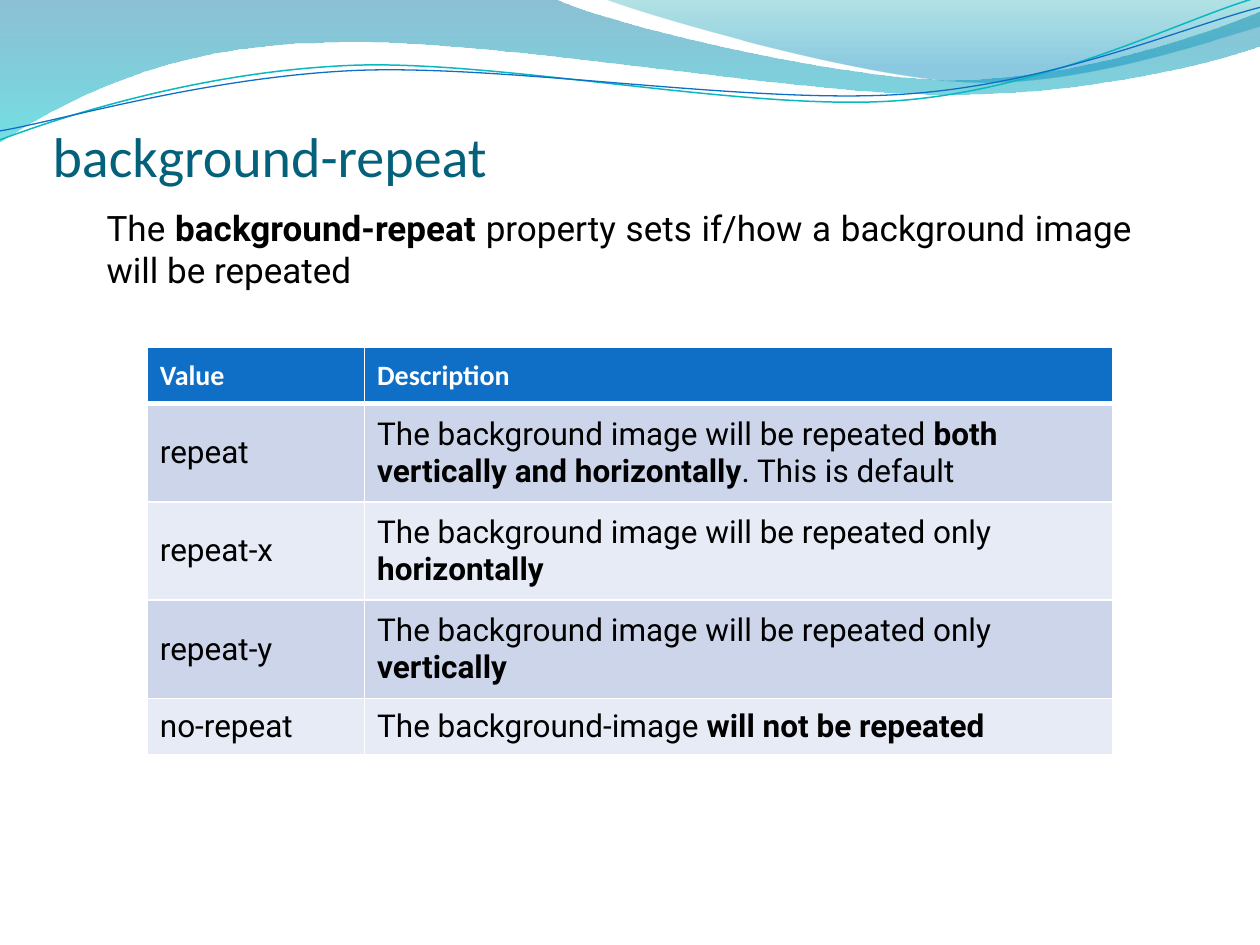
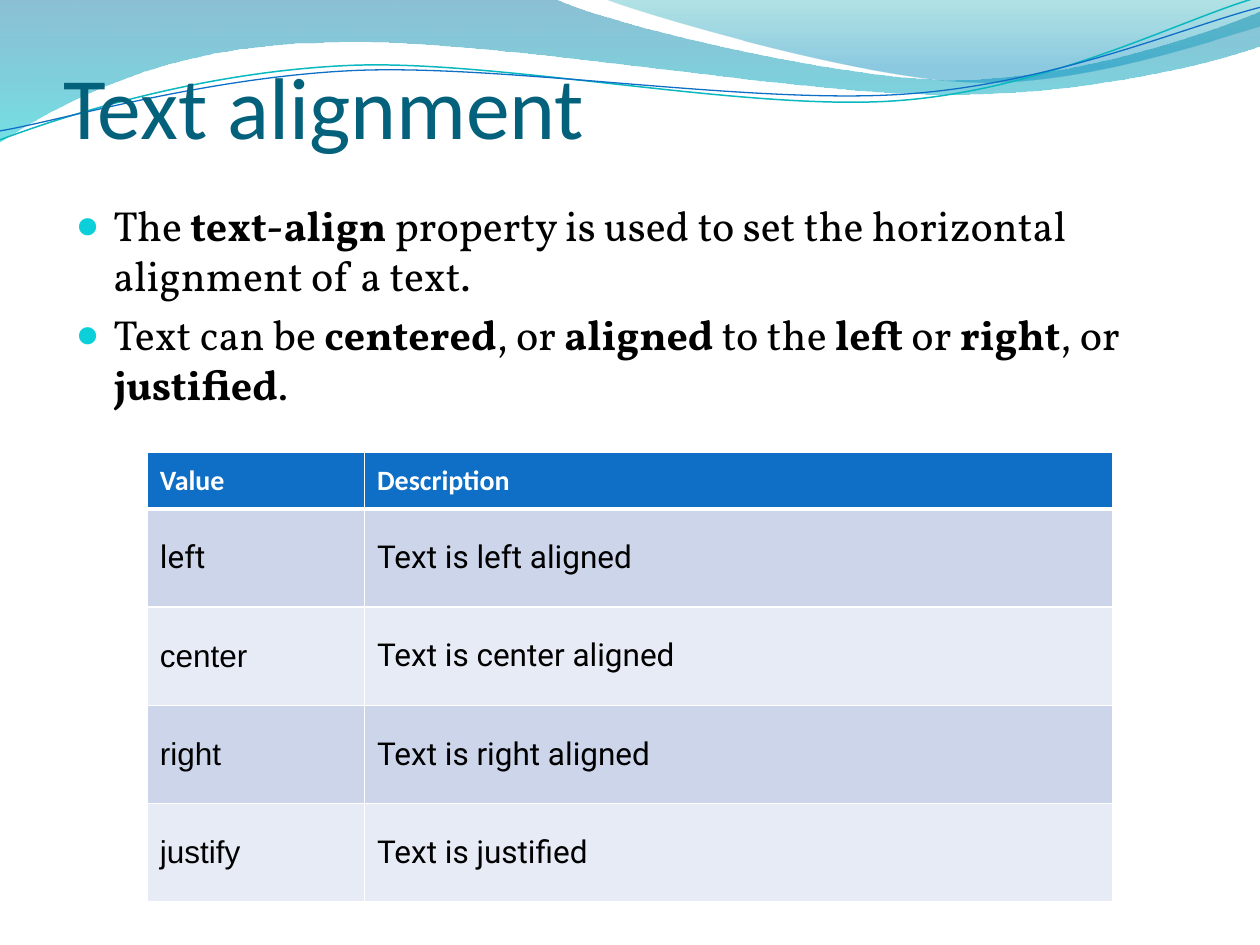
from lxml.etree import SubElement
from pptx import Presentation
from pptx.dml.color import RGBColor
from pptx.enum.text import MSO_ANCHOR, MSO_AUTO_SIZE, PP_ALIGN
from pptx.oxml.ns import qn
from pptx.util import Cm, Pt

COLORS = {
    "title": "04617B", "text": "000000", "white": "FFFFFF", "bullet": "0BD0D9",
    "header": "0F6FC6", "odd": "CCD5EA", "even": "E7EBF5",
    "teal line": "0AB8BF", "blue line": "0F6FC6",
}
TITLE = {"size": Pt(32), "name": "Calibri", "bold": False}
BIG_TITLE = {**TITLE, "size": Pt(50)}
INTRO = {"size": Pt(20), "name": "Roboto"}
BULLET = {"size": Pt(24), "name": "Vollkorn"}
HEADER = {"size": Pt(16), "name": "Calibri"}
CELL = {"size": Pt(18), "name": "Roboto"}
ARIAL_CELL = {**CELL, "name": "Arial"}

BANDS = [
    ([(0, -0.03), (11.18, -0.03),
      (12.09, 0.43, 16.87, 1.6, 19.25, 1.6), (21.67, 1.6, 24.33, 0.66, 25.4, 0.23),
      (25.43, 0.91), (24.97, 1.12, 22.1, 1.93, 18.95, 1.9),
      (15.8, 1.9, 9.7, 0.71, 6.53, 0.86), (3.28, 0.89, 1.17, 2.11, -0.03, 2.87)],
     [(0, "0074A1", 45), (1, "00C6CF", 55)]),
    ([(12.17, -0.03), (12.93, 0.28, 17.32, 1.57, 19.53, 1.65),
      (21.74, 1.75, 24.41, 0.81, 25.4, 0.53), (25.4, 0)],
     [(0, "00A1A9", 30), (0.8, "008BBF", 45)]),
]
LINES = [
    ([(0, 2.82), (1.22, 2.36, 4.01, 1.45, 7.04, 1.32),
      (10.03, 1.19, 15.06, 2.26, 18.11, 2.03), (21.16, 1.8, 23.83, 0.38, 25.35, -0.05)],
     "teal line", 0.85),
    ([(0, 2.64), (1.19, 2.44, 4.17, 1.55, 7.19, 1.42),
      (10.24, 1.3, 15.14, 2.11, 18.21, 1.9), (21.23, 1.7, 23.9, 0.53, 25.4, 0.15)],
     "blue line", 0.75),
]

SLIDES = [
    {"layout": 5, "title": "background-repeat", "title format": TITLE,
     "title place": (1.06, 2.74, 21.16, 1.07), "anchor": MSO_ANCHOR.BOTTOM,
     "text": ["The** background-repeat** property sets if/how a background image "
              "will be repeated"],
     "table top": 7, "heights": [1.14, 1.98, 1.98, 1.98, 1.14],
     "value formats": [HEADER] + [CELL] * 4,
     "rows": [
         ("**Value**", "**Description**"),
         ("repeat", "The background image will be repeated **both vertically and "
                    "horizontally**. This is default"),
         ("repeat-x", "The background image will be repeated only **horizontally**"),
         ("repeat-y", "The background image will be repeated only **vertically**"),
         ("no-repeat", "The background-image **will not be repeated**")]},
    {"layout": 1, "title": "Text alignment", "title format": BIG_TITLE,
     "title place": (1.27, 0.89, 22.86, 2.29), "anchor": MSO_ANCHOR.MIDDLE,
     "text": ["The** text-align **property is used to set the horizontal alignment "
              "of a text.",
              "Text can be **centered**, or **aligned **to the **left** or **right**, "
              "or **justified**."],
     "table top": 9.12, "heights": [1.14] + [1.98] * 4,
     "value formats": [HEADER, CELL] + [ARIAL_CELL] * 3,
     "rows": [("**Value**", "**Description**")] + [
         (value, f"Text is {result}") for value, result in [
             ("left", "left aligned"), ("center", "center aligned"),
             ("right", "right aligned"), ("justify", "justified")]]},
]


def write(para, text, color, look):
    for number, part in enumerate(text.split("**")):
        if part:
            span = para.add_run()
            span.text = part
            for name, value in {"bold": number % 2 == 1, **look}.items():
                setattr(span.font, name, value)
            span.font.color.rgb = RGBColor.from_string(COLORS[color])


def draw_curve(page, steps, closed):
    ends = [(Cm(step[-2]), Cm(step[-1])) for step in steps]
    builder = page.shapes.build_freeform(*ends[0])
    builder.add_line_segments(ends[1:], close=closed)
    curve = builder.convert_to_shape()
    curve.shadow.inherit = False
    for segment, step in zip(list(curve.element.iter(qn("a:lnTo"))), steps[1:]):
        if len(step) == 6:
            segment.tag = qn("a:cubicBezTo")
            segment.remove(segment[0])
            for x, y in zip(step[::2], step[1::2]):
                SubElement(segment, qn("a:pt"), x=str(Cm(x) - curve.left),
                           y=str(Cm(y) - curve.top))
    return curve


deck = Presentation()
deck.slide_width, deck.slide_height = Cm(25.4), Cm(19.05)
pages = [deck.slides.add_slide(deck.slide_layouts[content["layout"]]) for content in SLIDES]

waves = []
for steps, stops in BANDS:
    band = draw_curve(pages[0], steps, True)
    band.line.fill.background()
    band.fill.gradient()
    band.fill.gradient_angle = 270
    for stop, (position, color, opacity) in zip(band.fill.gradient_stops, stops):
        stop.position = position
        stop.color.rgb = RGBColor.from_string(color)
    for tint, (position, color, opacity) in zip(band.element.iter(qn("a:srgbClr")), stops):
        SubElement(tint, qn("a:alpha"), val=str(opacity * 1000))
    waves.append(band)
for steps, color, width in LINES:
    line = draw_curve(pages[0], steps, False)
    line.fill.background()
    line.line.color.rgb = RGBColor.from_string(COLORS[color])
    line.line.width = Pt(width)
    waves.append(line)
for wave in waves:
    deck.slide_master.shapes.element.append(wave.element)

for page, content in zip(pages, SLIDES):
    title = page.shapes.title
    title.left, title.top, title.width, title.height = map(Cm, content["title place"])
    frame = title.text_frame
    for name, value in {"margin_left": 0, "margin_right": 0, "margin_top": Cm(0.13),
                        "margin_bottom": 0, "vertical_anchor": content["anchor"],
                        "auto_size": MSO_AUTO_SIZE.NONE, "word_wrap": True}.items():
        setattr(frame, name, value)
    frame.paragraphs[0].alignment = PP_ALIGN.LEFT
    write(frame.paragraphs[0], content["title"], "title", content["title format"])

    if content["layout"] == 1:
        body = page.placeholders[1]
        body.left, body.top, body.width, body.height = map(Cm, (1.27, 3.89, 22.86, 12.19))
        body.text_frame.auto_size = MSO_AUTO_SIZE.NONE
        for number, text in enumerate(content["text"]):
            para = body.text_frame.add_paragraph() if number else body.text_frame.paragraphs[0]
            write(para, text, "text", BULLET)
            props = para._p.get_or_add_pPr()
            props.set("marL", str(Cm(0.76)))
            props.set("indent", str(-Cm(0.76)))
            SubElement(SubElement(props, qn("a:buClr")), qn("a:srgbClr"), val=COLORS["bullet"])
            SubElement(props, qn("a:buSzPct"), val="95000")
            SubElement(props, qn("a:buFont"), typeface="Arial")
            SubElement(props, qn("a:buChar"), char="●")
    else:
        box = page.shapes.add_textbox(Cm(1.9), Cm(4.03), Cm(21.17), Cm(1.96))
        box.text_frame.word_wrap = True
        box.text_frame.vertical_anchor = MSO_ANCHOR.MIDDLE
        box.text_frame.auto_size = MSO_AUTO_SIZE.SHAPE_TO_FIT_TEXT
        box.text_frame.paragraphs[0].alignment = PP_ALIGN.JUSTIFY
        write(box.text_frame.paragraphs[0], content["text"][0], "text", INTRO)

    heights = content["heights"]
    table = page.shapes.add_table(5, 2, Cm(2.97), Cm(content["table top"]),
                                  Cm(19.46), Cm(sum(heights))).table
    table.horz_banding = False
    table.columns[0].width, table.columns[1].width = Cm(4.38), Cm(15.08)
    for r, row in enumerate(content["rows"]):
        table.rows[r].height = Cm(heights[r])
        looks = content["value formats"][r], CELL if r else HEADER
        for c, text in enumerate(row):
            cell = table.cell(r, c)
            cell.vertical_anchor = MSO_ANCHOR.MIDDLE
            write(cell.text_frame.paragraphs[0], text, "text" if r else "white", looks[c])
            props = cell._tc.get_or_add_tcPr()
            for side, width in {"L": 1, "R": 1, "T": 3 if r == 1 else 1,
                                "B": 1 if r else 3}.items():
                border = SubElement(props, qn(f"a:ln{side}"), w=str(Pt(width)))
                SubElement(SubElement(border, qn("a:solidFill")), qn("a:srgbClr"),
                           val=COLORS["white"])
            cell.fill.solid()
            shade = ("odd" if r % 2 else "even") if r else "header"
            cell.fill.fore_color.rgb = RGBColor.from_string(COLORS[shade])

deck.save("out.pptx")
